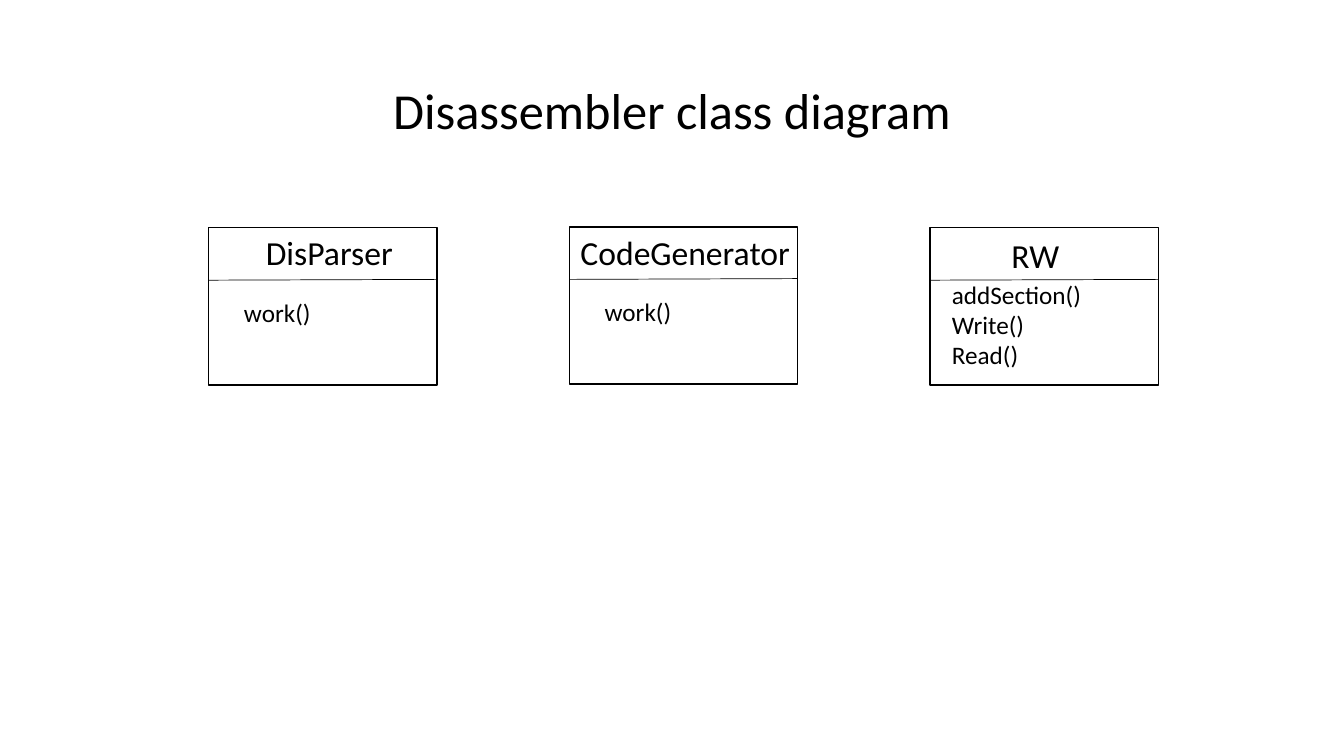
"""Build the disassembler class diagram slide."""

import dataclasses

import pptx
import pptx.dml.color
import pptx.enum.shapes
import pptx.enum.text
import pptx.oxml
import pptx.oxml.ns
import pptx.presentation
import pptx.shapes.group
import pptx.slide
import pptx.text.text
import pptx.util

Cm = pptx.util.Cm
Pt = pptx.util.Pt

COLORS = {"ink": "000000", "paper": "FFFFFF"}
FONT = "Calibri"

BOX_LEFT, BOX_PITCH = 5.26, 9.09
BOX_WIDTH, BOX_HEIGHT = 5.75, 3.96
DIVIDER_OFFSET, DIVIDER_RISE = 1.32, 0.02
NAME_HEIGHT = 1.28
METHOD_PADDING, METHOD_LINE = 0.25, 0.76


@dataclasses.dataclass(frozen=True)
class TextArea:
    """Text lines placed relative to the corner of a class box, in cm."""

    lines: tuple[str, ...]
    left: float
    top: float
    width: float
    height: float
    size: int
    wrap: bool


@dataclasses.dataclass(frozen=True)
class ClassBox:
    """A class with its name and methods."""

    top: float
    name: TextArea
    methods: TextArea


def class_name(text: str, left: float, top: float, width: float) -> TextArea:
    """Describe the heading of a class box."""
    return TextArea((text,), left, top, width, NAME_HEIGHT, 24, False)


def class_methods(lines: tuple[str, ...], left: float, top: float, width: float) -> TextArea:
    """Describe the method list of a class box."""
    height = METHOD_PADDING + METHOD_LINE * len(lines)
    return TextArea(lines, left, top, width, height, 18, True)


CLASS_BOXES = (
    ClassBox(
        5.74,
        class_name("DisParser", 1.19, -0.02, 3.73),
        class_methods(("work()",), 0.64, 1.63, 3.05),
    ),
    ClassBox(
        5.72,
        class_name("CodeGenerator", 0.03, 0, 5.84),
        class_methods(("work()",), 0.64, 1.63, 3.05),
    ),
    ClassBox(
        5.74,
        class_name("RW", 1.8, 0.05, 1.73),
        class_methods(("addSection()", "Write()", "Read()"), 0.3, 1.17, 5.11),
    ),
)


def color(name: str) -> pptx.dml.color.RGBColor:
    """Return a named colour."""
    return pptx.dml.color.RGBColor.from_string(COLORS[name])


def add_run(paragraph: pptx.text.text._Paragraph, text: str, size: int) -> None:
    """Append a formatted run to a paragraph."""
    run = paragraph.add_run()
    run.text = text
    run.font.name = FONT
    run.font.size = Pt(size)
    run.font.color.rgb = color("ink")


def add_title(slide: pptx.slide.Slide, text: str) -> None:
    """Place and fill the title placeholder."""
    title = slide.shapes.title
    title.left, title.top = Cm(2.33), Cm(1.01)
    title.width, title.height = Cm(29.21), Cm(3.68)
    title.text_frame.vertical_anchor = pptx.enum.text.MSO_ANCHOR.MIDDLE
    paragraph = title.text_frame.paragraphs[0]
    paragraph.alignment = pptx.enum.text.PP_ALIGN.CENTER
    paragraph.line_spacing = 0.9
    add_run(paragraph, text, 36)


def add_text_area(
    group: pptx.shapes.group.GroupShape, area: TextArea, left: float, top: float
) -> None:
    """Draw one text area from the corner of its class box."""
    text_box = group.shapes.add_textbox(
        Cm(left + area.left), Cm(top + area.top), Cm(area.width), Cm(area.height)
    )
    frame = text_box.text_frame
    frame.word_wrap = area.wrap
    frame.auto_size = pptx.enum.text.MSO_AUTO_SIZE.SHAPE_TO_FIT_TEXT
    for index, line in enumerate(area.lines):
        paragraph = frame.add_paragraph() if index else frame.paragraphs[0]
        add_run(paragraph, line, area.size)


def add_class_box(slide: pptx.slide.Slide, class_box: ClassBox, left: float) -> None:
    """Draw a class as a group of outline, divider and texts."""
    top = class_box.top
    group = slide.shapes.add_group_shape()
    outline = group.shapes.add_shape(
        pptx.enum.shapes.MSO_SHAPE.RECTANGLE,
        Cm(left), Cm(top), Cm(BOX_WIDTH), Cm(BOX_HEIGHT),
    )
    outline.shadow.inherit = False
    outline.fill.solid()
    outline.fill.fore_color.rgb = color("paper")
    outline.line.color.rgb = color("ink")
    outline.line.width = Pt(1)

    divider_top = top + DIVIDER_OFFSET
    divider = group.shapes.add_connector(
        pptx.enum.shapes.MSO_CONNECTOR.STRAIGHT,
        Cm(left), Cm(divider_top), Cm(left + BOX_WIDTH), Cm(divider_top - DIVIDER_RISE),
    )
    divider.line.color.rgb = color("ink")
    divider.line.width = Pt(0.5)
    properties = divider._element.spPr
    properties.append(pptx.oxml.parse_xml(f"<a:effectLst {pptx.oxml.ns.nsdecls('a')}/>"))

    for area in (class_box.name, class_box.methods):
        add_text_area(group, area, left, top)


def build() -> pptx.presentation.Presentation:
    """Create the presentation with its single slide."""
    presentation = pptx.Presentation()
    presentation.slide_width, presentation.slide_height = Cm(33.87), Cm(19.05)
    slide = presentation.slides.add_slide(presentation.slide_layouts.get_by_name("Title Only"))
    add_title(slide, "Disassembler class diagram")
    for index, class_box in enumerate(CLASS_BOXES):
        add_class_box(slide, class_box, BOX_LEFT + index * BOX_PITCH)
    return presentation


build().save("out.pptx")
